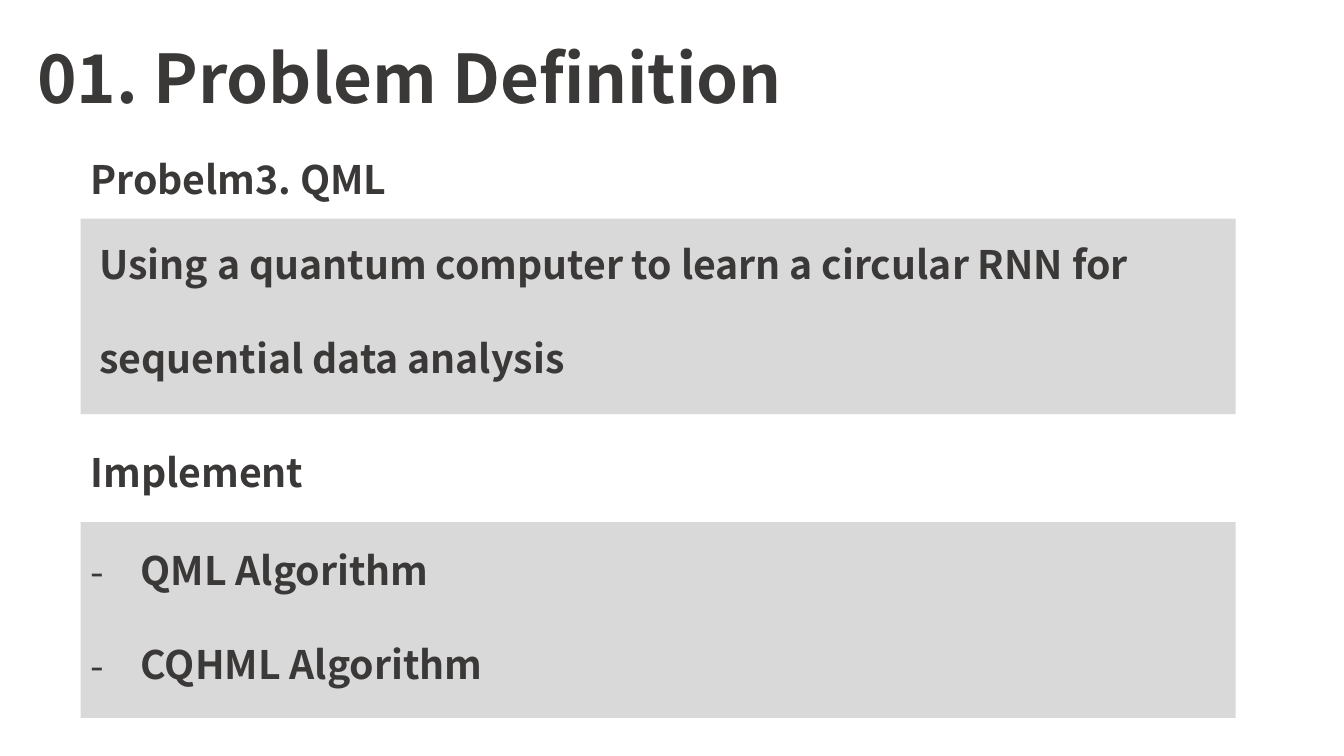
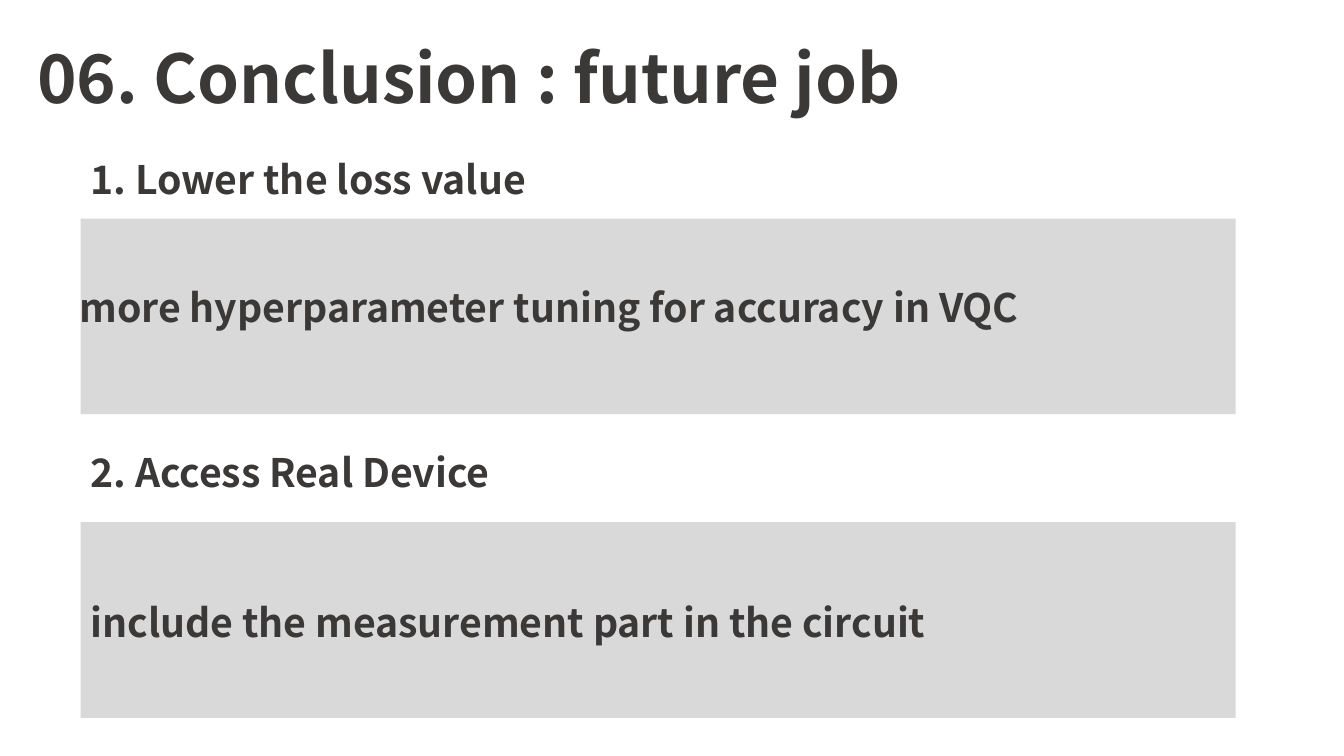
"""Build two slides with a title and two headed panels each."""
from lxml import etree
from pptx import Presentation
from pptx.dml.color import RGBColor
from pptx.enum.shapes import MSO_SHAPE
from pptx.enum.text import MSO_AUTO_SIZE
from pptx.oxml.ns import qn
from pptx.util import Cm, Pt

RECTANGLE = MSO_SHAPE.RECTANGLE
FIT_SHAPE = MSO_AUTO_SIZE.SHAPE_TO_FIT_TEXT
FONT = "Noto Sans CJK KR"
COLORS = {"text": "3B3838", "panel": "D9D9D9"}
MARGIN = 2.03
PANEL_WIDTH, PANEL_HEIGHT = 29.11, 4.93
PANEL_TOPS = (5.51, 13.16)
HEADING_TOPS = (3.78, 11.18)
LINE_HEIGHT = 1.45
LINE_GAP = 33.6
BULLET_INDENT = Cm(1.27)


def add_text(slide, lines, left, top, width, height=LINE_HEIGHT, size=28, bullet=None):
    box = slide.shapes.add_textbox(Cm(left), Cm(top), Cm(width), Cm(height))
    frame = box.text_frame
    frame.word_wrap = True
    frame.auto_size = FIT_SHAPE
    for index, line in enumerate(lines):
        paragraph = frame.add_paragraph() if index else frame.paragraphs[0]
        if index:
            paragraph.space_before = Pt(LINE_GAP)
        run = paragraph.add_run()
        run.text = line
        run.font.name = FONT
        run.font.size = Pt(size)
        run.font.bold = True
        run.font.color.rgb = RGBColor.from_string(COLORS["text"])
        if bullet:
            properties = paragraph._p.get_or_add_pPr()
            properties.set("marL", str(BULLET_INDENT))
            properties.set("indent", str(-BULLET_INDENT))
            etree.SubElement(properties, qn("a:buFont"), typeface=FONT)
            etree.SubElement(properties, qn("a:buChar"), char=bullet)


SLIDES = [
    {
        "title": "01. Problem Definition",
        "headings": [("Probelm3. QML", 9.42), ("Implement", 9.42)],
        "bodies": [
            {"lines": ["Using a quantum computer to learn a circular RNN for",
                       "sequential data analysis"],
             "left": 2.26, "top": 5.92, "width": 28.17, "height": 3.84},
            {"lines": ["QML Algorithm", "CQHML Algorithm"],
             "left": MARGIN, "top": 13.64, "width": 31.22, "height": 3.84, "bullet": "-"},
        ],
    },
    {
        "title": "06. Conclusion : future job",
        "headings": [("1. Lower the loss value", 15.7), ("2. Access Real Device", 16.31)],
        "bodies": [
            {"lines": ["more hyperparameter tuning for accuracy in VQC"],
             "left": 1.75, "top": 7.01, "width": 28.17},
            {"lines": ["include the measurement part in the circuit"],
             "left": MARGIN, "top": 14.94, "width": 31.22},
        ],
    },
]

presentation = Presentation()
presentation.slide_width = Cm(33.87)
presentation.slide_height = Cm(19.05)
blank_layout = presentation.slide_layouts[6]

for content in SLIDES:
    slide = presentation.slides.add_slide(blank_layout)
    for panel_top in PANEL_TOPS:
        panel = slide.shapes.add_shape(
            RECTANGLE, Cm(MARGIN), Cm(panel_top), Cm(PANEL_WIDTH), Cm(PANEL_HEIGHT))
        panel.shadow.inherit = False
        panel.fill.solid()
        panel.fill.fore_color.rgb = RGBColor.from_string(COLORS["panel"])
        panel.line.fill.background()
    add_text(slide, [content["title"]], 0.69, 0.79, 23.7, height=2.31, size=48)
    for (heading, width), heading_top in zip(content["headings"], HEADING_TOPS):
        add_text(slide, [heading], MARGIN, heading_top, width)
    for body in content["bodies"]:
        add_text(slide, **body)

presentation.save("out.pptx")
